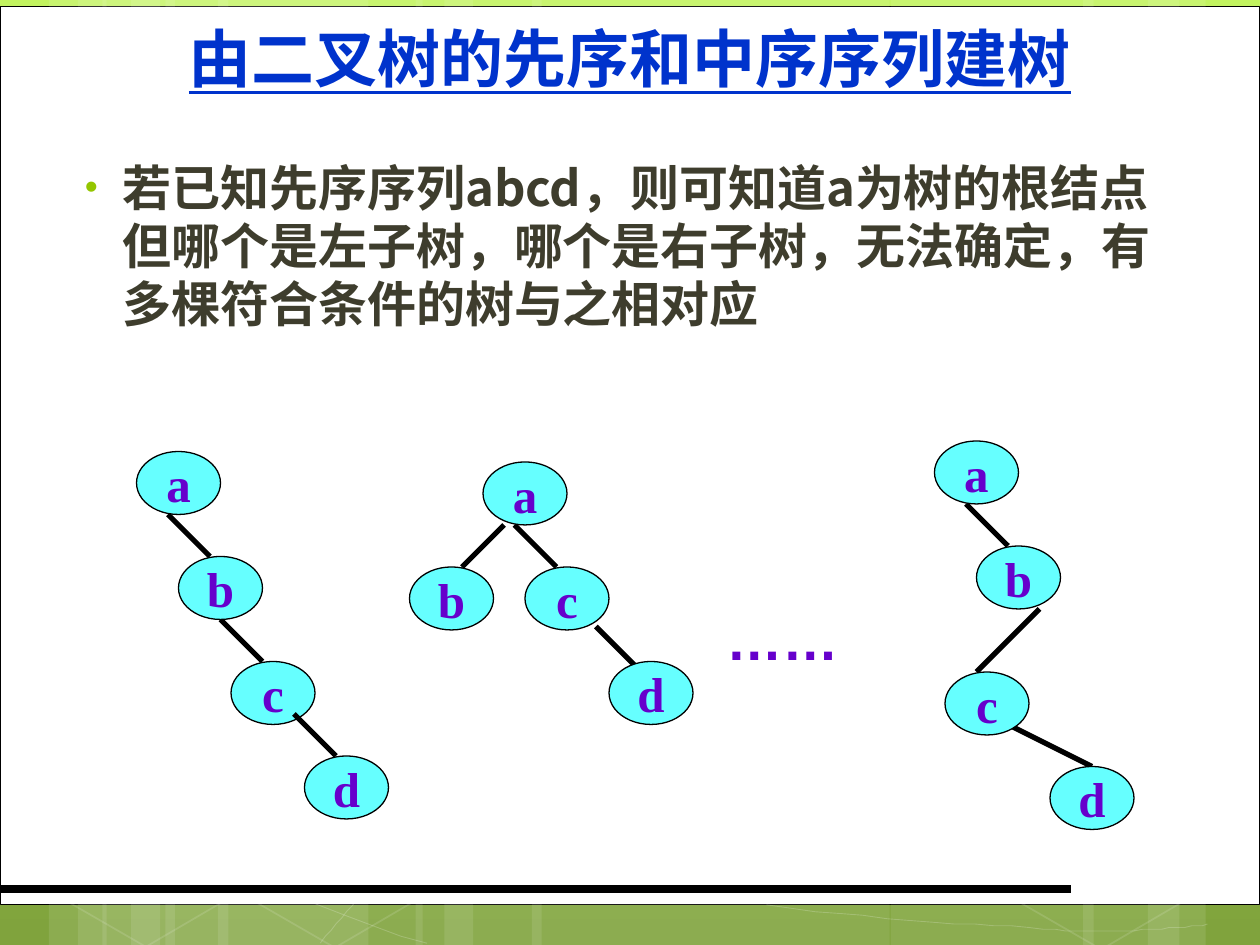
"""Build the slide on rebuilding a binary tree from its preorder and inorder sequences."""
import copy
import pptx
import pptx.util
import pptx.dml.color
import pptx.enum.shapes
import pptx.enum.text
import pptx.oxml
import pptx.oxml.ns
from lxml import etree

Pt = pptx.util.Pt
RGB = pptx.dml.color.RGBColor
KIND = pptx.enum.shapes.MSO_SHAPE
ALIGN = pptx.enum.text.PP_ALIGN
MIDDLE = pptx.enum.text.MSO_ANCHOR.MIDDLE
qn = pptx.oxml.ns.qn

WHITE, BLACK = RGB(255, 255, 255), RGB(0, 0, 0)
CYAN, PURPLE = RGB(0x66, 0xFF, 0xFF), RGB(0x66, 0x00, 0xCC)
BLUE, OLIVE = RGB(0x00, 0x33, 0xCC), RGB(0x3E, 0x3D, 0x2D)
SKY = [(0, RGB(0xC2, 0xF3, 0x5F)), (0.62, RGB(0x92, 0xBE, 0x3F)), (1, RGB(0x80, 0xA3, 0x3D))]

TITLE = "由二叉树的先序和中序序列建树"
BODY = "若已知先序序列abcd，则可知道a为树的根结点但哪个是左子树，哪个是右子树，无法确定，有多棵符合条件的树与之相对应"
DOTS = "……"

HEAD = {"size": Pt(36), "name": "TeX Gyre Adventor", "bold": True, "underline": True}
TEXT = {"size": Pt(28), "name": "Noto Sans CJK JP", "bold": True}
NODE = {"size": Pt(28), "name": "Times New Roman", "bold": True}
MORE = {"size": Pt(32), "name": "Arial", "bold": True}
FLAT = dict.fromkeys(("margin_left", "margin_right", "margin_top", "margin_bottom"), 0)

WIDE, HIGH = 48, 36
TREES = [
    {"back": [(96, 294, 120, 318), (126, 354, 150, 378)],
     "nodes": {"a": (78, 258), "b": (102, 318), "c": (132, 378), "d": (174, 432)},
     "front": [(168, 408, 192, 432)]},
    {"back": [(288, 300, 264, 324), (294, 300, 318, 324), (340.5, 358, 364.5, 382)],
     "nodes": {"a": (276, 264), "b": (234, 324), "c": (300, 324), "d": (348, 378)},
     "front": []},
    {"back": [(576, 414, 624, 438), (594, 348, 558, 384), (552, 288, 576, 312)],
     "nodes": {"a": (534, 252), "b": (558, 312), "c": (540, 384), "d": (600, 438)},
     "front": []},
]
BANDS = [(94.5, 116), (28, 33), (44.5, 55.5), (124.5, 117), (58.5, 33), (75, 55.5),
         (509, 116), (656, 33), (619, 55), (304, 204.5), (237.5, 33), (254, 55.5)]
HEXES = [(29.5, 425.5), (137.5, 426), (575.5, 427)]
CURVES = [
    [(26, 444), (106, 484), (186, 523.5), (244, 539)],
    [(438.5, 517), (493, 525), (552, 528), (587.5, 530), (622, 533), (631.5, 531.5),
     (648.5, 531.5), (665.5, 531), (677.5, 529.5), (690, 528.5)],
    [(183, 539), (194.5, 525), (206, 510.5), (222.5, 497.5)],
]


def put(item, vals):
    for key, val in vals.items():
        setattr(item, key, val)


def fade(paint, part):
    for tone in paint.iter(qn("a:srgbClr")):
        etree.SubElement(tone, qn("a:alpha")).set("val", str(part * 1000))


def ink(shape, fill=None, line=None, width=1):
    shape.shadow.inherit = False
    for paint, tone in ((shape.fill, fill), (shape.line.fill, line)):
        if tone is None:
            paint.background()
        else:
            paint.solid()
            paint.fore_color.rgb = tone
    if line is not None:
        shape.line.width = Pt(width)
    return shape


def form(shapes, kind, *box):
    return shapes.add_shape(kind, *map(Pt, box))


def join(shapes, ends, width):
    link = shapes.add_connector(pptx.enum.shapes.MSO_CONNECTOR.STRAIGHT, *map(Pt, ends))
    link.line.color.rgb = BLACK
    link.line.width = Pt(width)
    etree.SubElement(link._element.spPr, qn("a:effectLst"))


def write(shape, text, font, tone, frame, align=None):
    body = shape.text_frame
    put(body, frame)
    para = body.paragraphs[0]
    run = para.add_run()
    run.text = text
    put(run.font, font)
    run.font.color.rgb = tone
    para.alignment = align
    return para, run


def bend(curve, steps=12):
    spots = [curve[0]]
    for i in range(0, len(curve) - 1, 3):
        for k in range(1, steps + 1):
            t = k / steps
            mix = ((1 - t) ** 3, 3 * t * (1 - t) ** 2, 3 * t * t * (1 - t), t ** 3)
            spots.append(tuple(sum(m * p[axis] for m, p in zip(mix, curve[i:i + 4]))
                               for axis in (0, 1)))
    return spots


def scene(slide):
    fill = slide.background.fill
    fill.gradient()
    fill.gradient_angle = 270
    stops = fill.gradient_stops[0]._gs.getparent()
    stops.append(copy.deepcopy(stops[-1]))
    for stop, (spot, tone) in zip(fill.gradient_stops, SKY):
        stop.position = spot
        stop.color.rgb = tone
    ink(form(slide.shapes, KIND.RECTANGLE, 0, 4, 720, 513), WHITE, BLACK, 0.5)
    group = slide.shapes.add_group_shape().shapes
    for left, wide in BANDS:
        band = ink(form(group, KIND.RECTANGLE, left, 0, wide, 540), WHITE)
        fade(band._element.spPr, 10)
    for curve in CURVES:
        spots = bend(curve)
        path = group.build_freeform(*spots[0], scale=Pt(1))
        path.add_line_segments(spots[1:], close=False)
        fade(ink(path.convert_to_shape(), None, WHITE, 0.5)._element.spPr, 20)
    for left, top in HEXES:
        cell = ink(form(group, KIND.HEXAGON, left, top, 116, 109.5), None, WHITE)
        cell.rotation = 30
        cell.adjustments[0] = 0.285
        fade(cell._element.spPr, 12)
    join(slide.shapes, (0, 508, 612, 508), 4.5)


def words(slide):
    box = slide.shapes.add_textbox(*map(Pt, (36, 0, 648, 66)))
    write(box, TITLE, HEAD, BLUE, {**FLAT, "vertical_anchor": MIDDLE, "word_wrap": False}, ALIGN.CENTER)
    box = slide.shapes.add_textbox(*map(Pt, (36, 84, 648, 132)))
    para, run = write(box, BODY, TEXT, OLIVE, {"word_wrap": True, "margin_top": Pt(6)})
    etree.SubElement(run.font._element, qn("a:ea")).set("typeface", TEXT["name"])
    para.line_spacing = Pt(33.4)
    props = para._p.get_or_add_pPr()
    props.set("marL", str(Pt(27)))
    props.set("indent", str(-Pt(21.6)))
    tone = etree.SubElement(props, qn("a:buClr"))
    etree.SubElement(tone, qn("a:srgbClr")).set("val", "94C600")
    for tag, key, val in (("a:buSzPct", "val", "76000"), ("a:buFont", "typeface", "Arial"),
                          ("a:buChar", "char", "•")):
        etree.SubElement(props, qn(tag)).set(key, val)
    box = slide.shapes.add_textbox(*map(Pt, (408, 342, 96, 45)))
    write(box, DOTS, MORE, PURPLE, {"word_wrap": True})


def grow(slide, tree):
    group = slide.shapes.add_group_shape().shapes
    for ends in tree["back"]:
        join(group, ends, 3)
    for name, spot in tree["nodes"].items():
        node = ink(form(group, KIND.OVAL, *spot, WIDE, HIGH), CYAN, BLACK, 0.75)
        write(node, name, NODE, PURPLE, {"vertical_anchor": MIDDLE, "word_wrap": False}, ALIGN.CENTER)
    for ends in tree["front"]:
        join(group, ends, 3)


def main():
    deck = pptx.Presentation()
    put(deck, {"slide_width": Pt(720), "slide_height": Pt(540)})
    slide = deck.slides.add_slide(deck.slide_layouts[6])
    scene(slide)
    words(slide)
    for tree in TREES:
        grow(slide, tree)
    deck.save("out.pptx")


if __name__ == "__main__":
    main()
